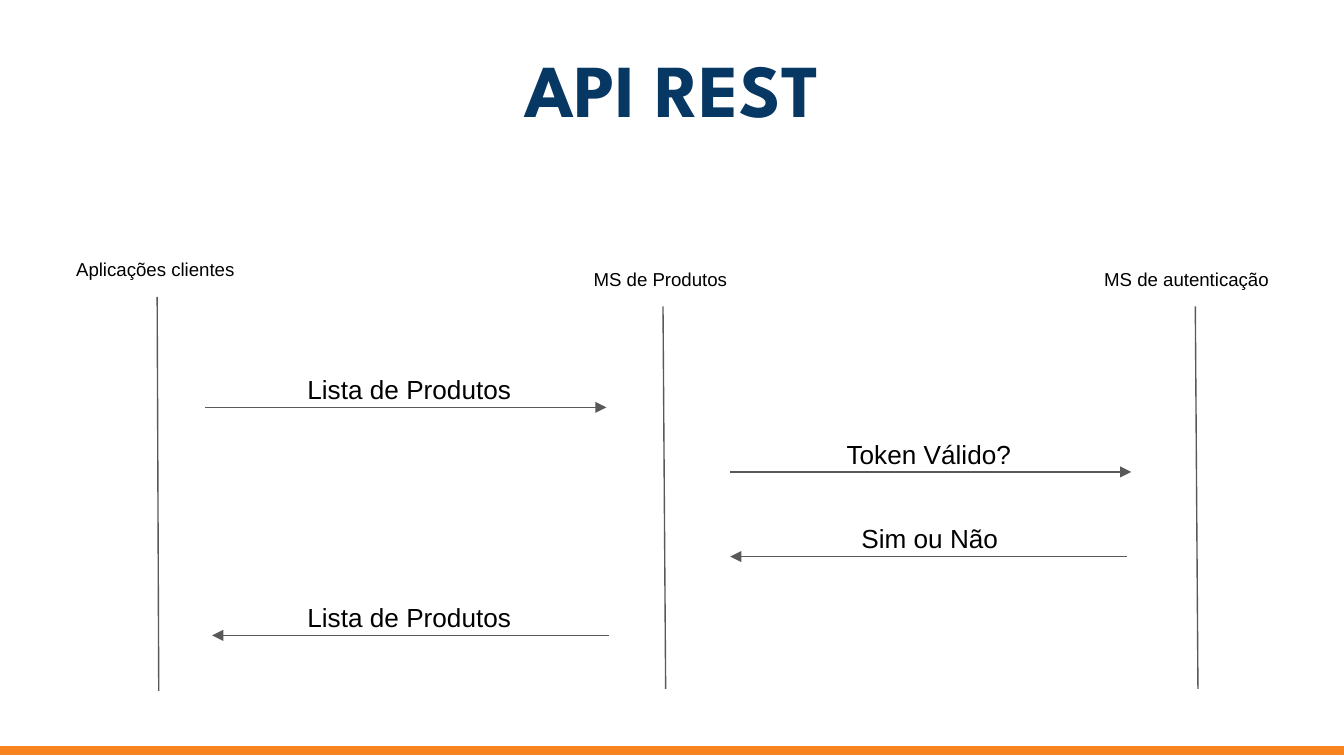
from pptx import Presentation
from pptx.dml.color import RGBColor
from pptx.enum.shapes import MSO_CONNECTOR, MSO_SHAPE
from pptx.enum.text import MSO_ANCHOR, PP_ALIGN
from pptx.oxml.ns import qn
from pptx.util import Cm, Pt
from lxml.etree import SubElement

COLORS = {"title": "073763", "text": "000000", "line": "595959", "bar": "F78321"}
LABEL_HEIGHT = 0.94
MESSAGE_RISE = 0.89


class SequenceSlide:
    """Holds the style and the current slide."""

    def __init__(self, slide):
        self.slide = slide

    def color(self, name):
        return RGBColor.from_string(COLORS[name])

    def text(self, text, left, top, width, height, size,
             font="Arial", color="text", bold=False):
        box = self.slide.shapes.add_textbox(Cm(left), Cm(top), Cm(width), Cm(height))
        frame = box.text_frame
        frame.word_wrap = True
        frame.margin_left = frame.margin_right = Cm(0.25)
        frame.margin_top = frame.margin_bottom = Cm(0.25)
        frame.text = text
        run_font = frame.paragraphs[0].runs[0].font
        run_font.name = font
        run_font.size = Pt(size)
        run_font.bold = bold
        run_font.color.rgb = self.color(color)
        return frame

    def title(self, text):
        frame = self.text(text, 0.86, 0.84, 23.67, 1.65, 40,
                          "League Spartan", "title", True)
        frame.vertical_anchor = MSO_ANCHOR.MIDDLE
        frame.paragraphs[0].alignment = PP_ALIGN.CENTER

    def bar(self, left, top, width, height):
        shape = self.slide.shapes.add_shape(
            MSO_SHAPE.RECTANGLE, Cm(left), Cm(top), Cm(width), Cm(height))
        shape.shadow.inherit = False
        shape.fill.solid()
        shape.fill.fore_color.rgb = self.color("bar")
        shape.line.color.rgb = self.color("bar")
        shape.line.width = Pt(0.75)

    def line(self, start_x, start_y, end_x, end_y, arrow=False):
        connector = self.slide.shapes.add_connector(
            MSO_CONNECTOR.STRAIGHT, Cm(start_x), Cm(start_y), Cm(end_x), Cm(end_y))
        connector.line.color.rgb = self.color("line")
        connector.line.width = Pt(0.75)
        properties = connector._element.spPr
        if arrow:
            SubElement(properties.find(qn("a:ln")), qn("a:tailEnd"), type="triangle")
        SubElement(properties, qn("a:effectLst"))

    def lifeline(self, name, label_left, label_width, top_x, top, bottom_x, bottom):
        self.line(top_x, top, bottom_x, bottom)
        self.text(name, label_left, top - LABEL_HEIGHT, label_width, LABEL_HEIGHT, 10)

    def message(self, text, label_left, label_width, start_x, end_x, y):
        self.line(start_x, y, end_x, y, arrow=True)
        self.text(text, label_left, y - MESSAGE_RISE, label_width, 1.12, 14)


def main():
    presentation = Presentation()
    presentation.slide_width = Cm(25.4)
    presentation.slide_height = Cm(14.29)
    sequence = SequenceSlide(presentation.slides.add_slide(presentation.slide_layouts[6]))

    # Title and bottom bar
    sequence.title("API REST")
    sequence.bar(0, 14.11, 25.4, 0.15)

    # Participants: name, label left and width, line top x/y and bottom x/y
    for participant in (
        ("Aplicações clientes", 1.19, 3.6, 2.97, 5.61, 3, 13.06),
        ("MS de Produtos", 10.97, 3.2, 12.53, 5.79, 12.58, 13.02),
        ("MS de autenticação", 20.62, 3.91, 22.59, 5.79, 22.64, 13.02),
    ):
        sequence.lifeline(*participant)

    # Messages: text, label left and width, arrow start, end and height
    for message in (
        ("Lista de Produtos", 5.56, 4.83, 3.88, 11.46, 7.7),
        ("Token Válido?", 15.75, 4.06, 13.8, 21.38, 8.92),
        ("Sim ou Não", 16.03, 3.3, 21.3, 13.8, 10.52),
        ("Lista de Produtos", 5.56, 4.83, 11.51, 4.01, 12.01),
    ):
        sequence.message(*message)

    presentation.save("out.pptx")


if __name__ == "__main__":
    main()
